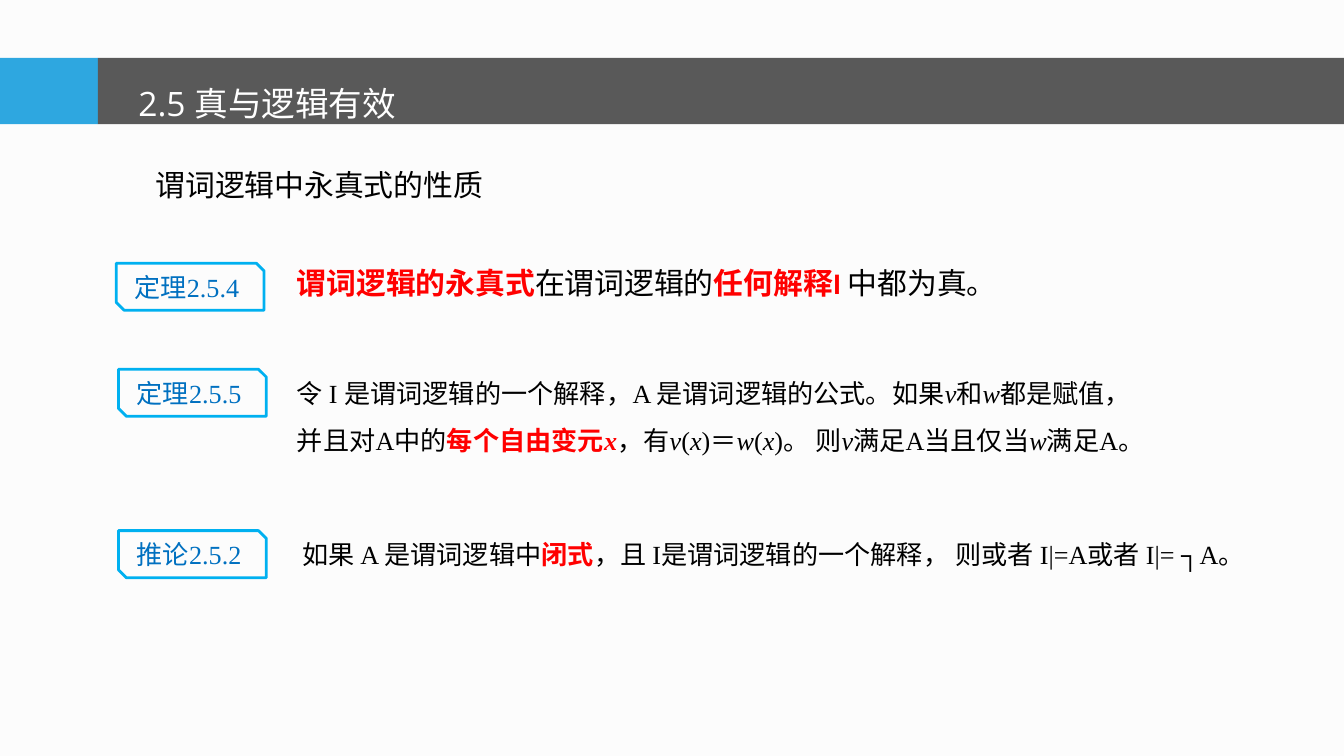
from dataclasses import dataclass
from pptx import Presentation
from pptx.dml.color import RGBColor
from pptx.enum import shapes, text
from pptx.util import Pt


@dataclass(frozen=True)
class Theme:
    back: str = "FCFCFC"
    accent: str = "2EA7E0"
    bar: str = "595959"
    title: str = "FFFFFF"
    ink: str = "000000"
    key: str = "FF0000"
    frame: str = "00B0F0"
    label: str = "0070C0"
    sans: str = "Open Sans"
    bold_sans: str = "Calibri"
    serif: str = "Times New Roman"
    title_size: int = 18
    lead_size: int = 16
    body_size: int = 14


T = Theme()
TEXT_WIDTH = 520.56


def rgb(value):
    return RGBColor.from_string(value)


def add_block(s, kind, left, top, width, height, fill=None, line=None):
    sp = s.shapes.add_shape(kind, Pt(left), Pt(top), Pt(width), Pt(height))
    sp.shadow.inherit = False
    if fill:
        sp.fill.solid()
        sp.fill.fore_color.rgb = rgb(fill)
    else:
        sp.fill.background()
    if line:
        sp.line.color.rgb = rgb(line)
        sp.line.width = Pt(1.5)
    else:
        sp.line.fill.background()
    return sp


def write_runs(p, spans, font, size, color):
    """Spans are (text, marks): k is a red bold key term, i is italic."""
    for words, marks in spans:
        r = p.add_run()
        r.text = words
        r.font.name = font
        r.font.size = Pt(size)
        r.font.bold = "k" in marks
        r.font.italic = "i" in marks
        r.font.color.rgb = rgb(T.key if "k" in marks else color)


def add_text(s, left, top, width, height, paragraphs, font, size,
             color=T.ink, spacing=None, before=None):
    sp = s.shapes.add_textbox(Pt(left), Pt(top), Pt(width), Pt(height))
    tf = sp.text_frame
    tf.word_wrap = True
    tf.auto_size = text.MSO_AUTO_SIZE.SHAPE_TO_FIT_TEXT
    for n, spans in enumerate(paragraphs):
        p = tf.add_paragraph() if n else tf.paragraphs[0]
        if spacing:
            p.line_spacing = spacing
        if before:
            p.space_before = Pt(before)
        write_runs(p, spans, font, size, color)


def add_label(s, left, top, words):
    sp = add_block(s, shapes.MSO_SHAPE.SNIP_2_DIAG_RECTANGLE,
                   left, top, 79.2, 25.2, line=T.frame)
    tf = sp.text_frame
    tf.vertical_anchor = text.MSO_ANCHOR.MIDDLE
    p = tf.paragraphs[0]
    p.alignment = text.PP_ALIGN.CENTER
    p.space_before = Pt(2.8)
    write_runs(p, [(words, "")], T.serif, T.body_size, T.label)


def main():
    prs = Presentation()
    prs.slide_width, prs.slide_height = Pt(720), Pt(405)
    s = prs.slides.add_slide(prs.slide_layouts[6])
    s.background.fill.solid()
    s.background.fill.fore_color.rgb = rgb(T.back)

    # Title bar
    rect = shapes.MSO_SHAPE.RECTANGLE
    add_block(s, rect, 0, 31, 52.5, 35.5, fill=T.accent)
    add_block(s, rect, 52.5, 31, 667.5, 35.5, fill=T.bar)
    add_text(s, 67, 26, 503, 44.6, [[("2.5 真与逻辑有效", "")]],
             T.sans, T.title_size, T.title, spacing=1.7, before=3.6)

    # Subtitle
    add_text(s, 76.3, 85.7, TEXT_WIDTH, 26.6, [[("谓词逻辑中永真式的性质", "")]],
             T.sans, T.lead_size)

    # Labels
    for left, top, words in ((62.3, 141, "定理2.5.4 "),
                             (63.5, 197.8, "定理2.5.5 "),
                             (63.5, 284.3, "推论2.5.2 ")):
        add_label(s, left, top, words)

    # Statements
    add_text(s, 152, 138.5, TEXT_WIDTH, 26.6, [[
        ("谓词逻辑的永真式", "k"), ("在谓词逻辑的", ""),
        ("任何解释I ", "k"), ("中都为真。", "")]],
        T.bold_sans, T.lead_size)
    add_text(s, 152, 190, TEXT_WIDTH, 58.3, [
        [("令 I 是谓词逻辑的一个解释，A 是谓词逻辑的公式。如果", ""),
         ("v", "i"), ("和", ""), ("w", "i"), ("都是赋值，", "")],
        [("并且对A中的", ""), ("每个自由变元", "k"), ("x", "ki"), ("，有", ""),
         ("v", "i"), ("(", ""), ("x", "i"), (")＝", ""),
         ("w", "i"), ("(", ""), ("x", "i"), (")。 则", ""),
         ("v", "i"), ("满足A当且仅当", ""), ("w", "i"), ("满足A。 ", "")]],
        T.serif, T.body_size, spacing=1.5)
    add_text(s, 154.8, 285, TEXT_WIDTH, 24.5, [[
        ("如果 A 是谓词逻辑中", ""), ("闭式", "k"),
        ("，且 I是谓词逻辑的一个解释， 则或者 I|=A或者 I|= ┐A。 ", "")]],
        T.serif, T.body_size)

    prs.save("out.pptx")


main()
